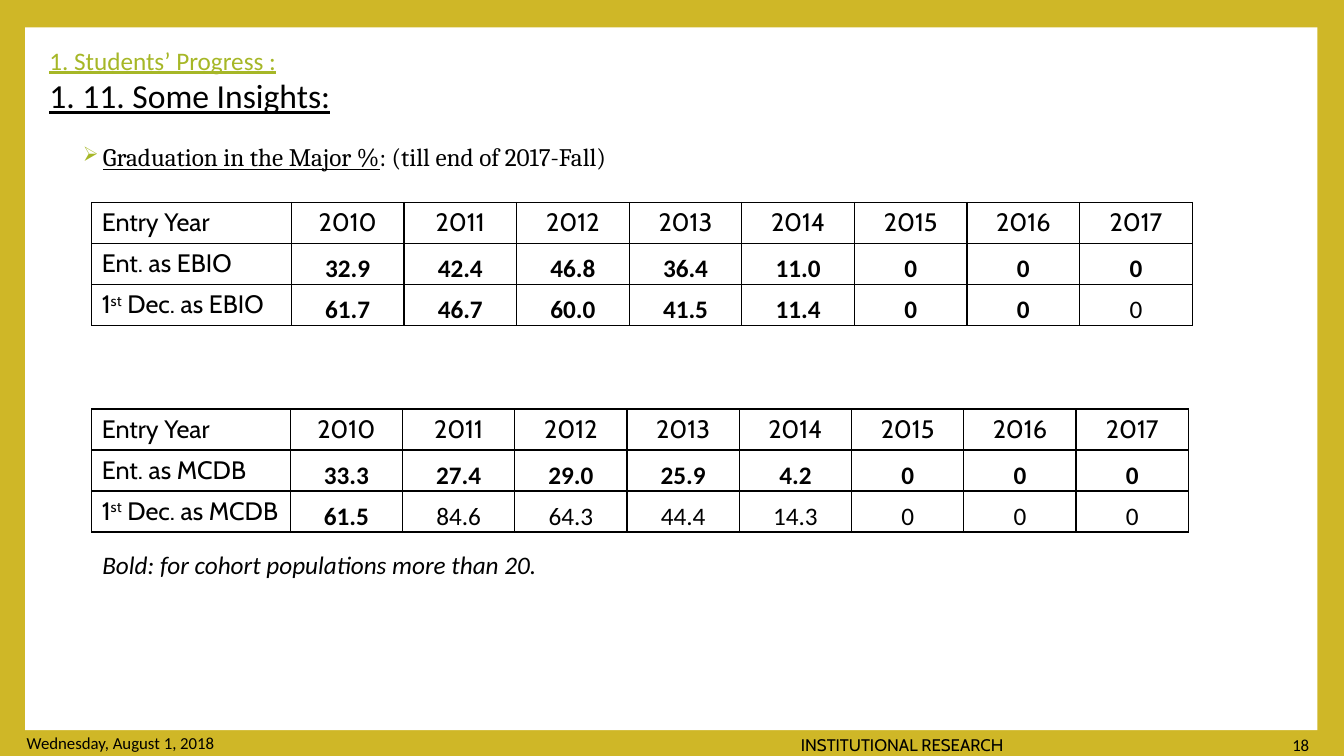
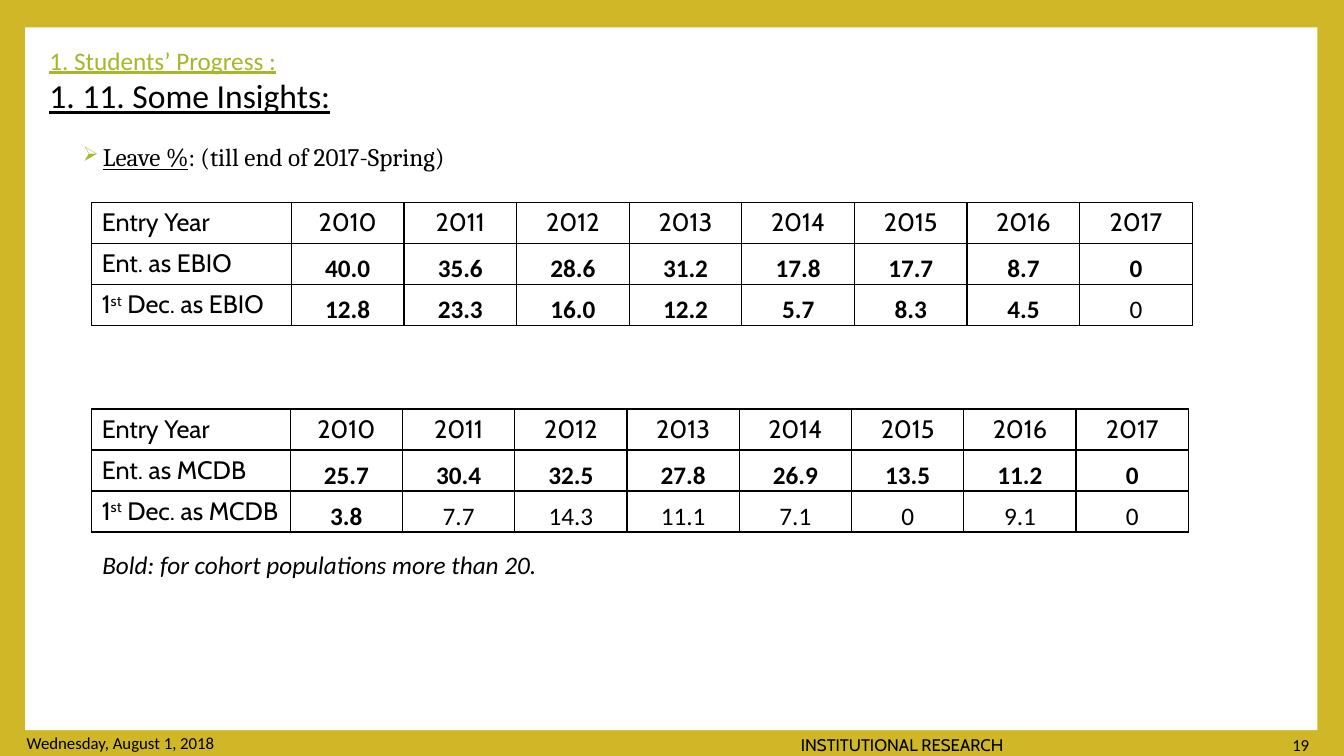
from lxml import etree
from pptx import Presentation
from pptx.dml.color import RGBColor
from pptx.enum.shapes import MSO_SHAPE
from pptx.enum.text import MSO_ANCHOR, PP_ALIGN
from pptx.oxml import parse_xml
from pptx.oxml.ns import nsdecls, qn
from pptx.util import Pt

RECT = MSO_SHAPE.RECTANGLE
TOP, MIDDLE, BOTTOM = MSO_ANCHOR.TOP, MSO_ANCHOR.MIDDLE, MSO_ANCHOR.BOTTOM
LEFT, CENTER = PP_ALIGN.LEFT, PP_ALIGN.CENTER

COLORS = {"gold": "CFB727", "green": "A6B727", "black": "000000", "white": "FFFFFF"}
YEARS = [str(year) for year in range(2010, 2018)]
ROW_HEIGHT = 29.3
TABLES = [
    {"major": "EBIO", "top": 144.7, "label_width": 142.6, "year_width": 80.45, "bold_counts": (8, 7)},
    {"major": "MCDB", "top": 292.2, "label_width": 141.8, "year_width": 80.2, "bold_counts": (8, 1)},
]
SLIDES = [
    {
        "measure": "Graduation in the Major %",
        "period": ": (till end of 2017-Fall)",
        "EBIO": ("32.9 42.4 46.8 36.4 11.0 0 0 0", "61.7 46.7 60.0 41.5 11.4 0 0 0"),
        "MCDB": ("33.3 27.4 29.0 25.9 4.2 0 0 0", "61.5 84.6 64.3 44.4 14.3 0 0 0"),
    },
    {
        "measure": "Leave %",
        "period": ": (till end of 2017-Spring)",
        "EBIO": ("40.0 35.6 28.6 31.2 17.8 17.7 8.7 0", "12.8 23.3 16.0 12.2 5.7 8.3 4.5 0"),
        "MCDB": ("25.7 30.4 32.5 27.8 26.9 13.5 11.2 0", "3.8 7.7 14.3 11.1 7.1 0 9.1 0"),
    },
]


def add_run(p, text, size=18, font="Calibri", color="black", bold=False,
            italic=False, underline=False, baseline=None):
    r = p.add_run()
    r.text = text
    r.font.size = Pt(size)
    r.font.name = font
    r.font.bold = bold
    r.font.italic = italic
    r.font.underline = underline
    r.font.color.rgb = RGBColor.from_string(COLORS[color])
    if baseline:
        r.font._element.set("baseline", str(baseline))


def add_box(s, left, top, width, height):
    tf = s.shapes.add_textbox(Pt(left), Pt(top), Pt(width), Pt(height)).text_frame
    tf.word_wrap = True
    return tf.paragraphs[0]


prs = Presentation()
prs.slide_width, prs.slide_height = Pt(960), Pt(540)
background = prs.slide_master.background.fill
background.solid()
background.fore_color.rgb = RGBColor.from_string(COLORS["gold"])

for number, content in enumerate(SLIDES, start=18):
    s = prs.slides.add_slide(prs.slide_layouts[5])

    panel = s.shapes.add_shape(RECT, Pt(18), Pt(19.5), Pt(923), Pt(502))
    panel.shadow.inherit = False
    panel.fill.solid()
    panel.fill.fore_color.rgb = RGBColor.from_string(COLORS["white"])
    panel.line.fill.background()
    s.shapes._spTree.insert(2, panel._element)

    title = s.shapes.title
    title.left, title.top, title.width, title.height = Pt(28), Pt(28), Pt(926), Pt(58.5)
    title.text_frame.vertical_anchor = MIDDLE
    p = title.text_frame.paragraphs[0]
    p.alignment = LEFT
    add_run(p, "1. Students’ Progress :", color="green", underline=True)
    p.add_line_break()
    add_run(p, "1. 11. Some Insights:", size=24, underline=True)

    p = add_box(s, 48.5, 97.5, 839.5, 32)
    pPr = p._p.get_or_add_pPr()
    pPr.set("marL", str(Pt(18)))
    pPr.set("indent", str(-Pt(14.4)))
    color = etree.SubElement(pPr, qn("a:buClr"))
    etree.SubElement(color, qn("a:srgbClr"), val=COLORS["green"])
    etree.SubElement(pPr, qn("a:buSzPct"), val="80000")
    etree.SubElement(pPr, qn("a:buChar"), char="➢")
    add_run(p, content["measure"], font="Cambria", underline=True)
    add_run(p, content["period"], font="Cambria")

    for spec_row in TABLES:
        major = spec_row["major"]
        widths = [spec_row["label_width"]] + [spec_row["year_width"]] * len(YEARS)
        rows = [YEARS] + [values.split() for values in content[major]]
        labels = [
            [("Entry Year", None)],
            [(f"Ent. as {major}", None)],
            [("1", None), ("st", 30000), (f" Dec. as {major}", None)],
        ]
        table = s.shapes.add_table(len(rows), len(widths), Pt(65.5), Pt(spec_row["top"]),
                                   Pt(sum(widths)), Pt(ROW_HEIGHT * len(rows))).table
        table.first_row = table.horz_banding = False
        for column, width in zip(table.columns, widths):
            column.width = Pt(width)

        for i, values in enumerate(rows):
            table.rows[i].height = Pt(ROW_HEIGHT)
            for text, baseline in labels[i]:
                add_run(table.cell(i, 0).text_frame.paragraphs[0], text,
                        font="Cabin", baseline=baseline)
            for j, value in enumerate(values):
                cell = table.cell(i, j + 1)
                p = cell.text_frame.paragraphs[0]
                p.alignment = CENTER
                if i == 0:
                    add_run(p, value, font="Cabin")
                else:
                    add_run(p, value, bold=j < spec_row["bold_counts"][i - 1])
                    cell.vertical_anchor = BOTTOM
                    cell.margin_left = cell.margin_right = cell.margin_top = Pt(0.7)
                    cell.margin_bottom = Pt(0)

        for cell in table.iter_cells():
            cell.fill.background()
            for k, side in enumerate(("lnL", "lnR", "lnT", "lnB")):
                cell._tc.get_or_add_tcPr().insert(k, parse_xml(
                    f'<a:{side} {nsdecls("a")} w="{Pt(1)}"><a:solidFill>'
                    f'<a:srgbClr val="{COLORS["black"]}"/></a:solidFill></a:{side}>'))

    add_run(add_box(s, 66, 389, 486, 29), "Bold: for cohort populations more than 20.", italic=True)
    add_run(add_box(s, 12, 520, 192, 21.5), "Wednesday, August 1, 2018", size=12)
    add_run(add_box(s, 565, 521.5, 196.5, 21.5), "INSTITUTIONAL RESEARCH", size=12, font="Cabin")
    add_run(add_box(s, 916, 521.5, 41, 21.5), str(number), size=12)

prs.save("out.pptx")
